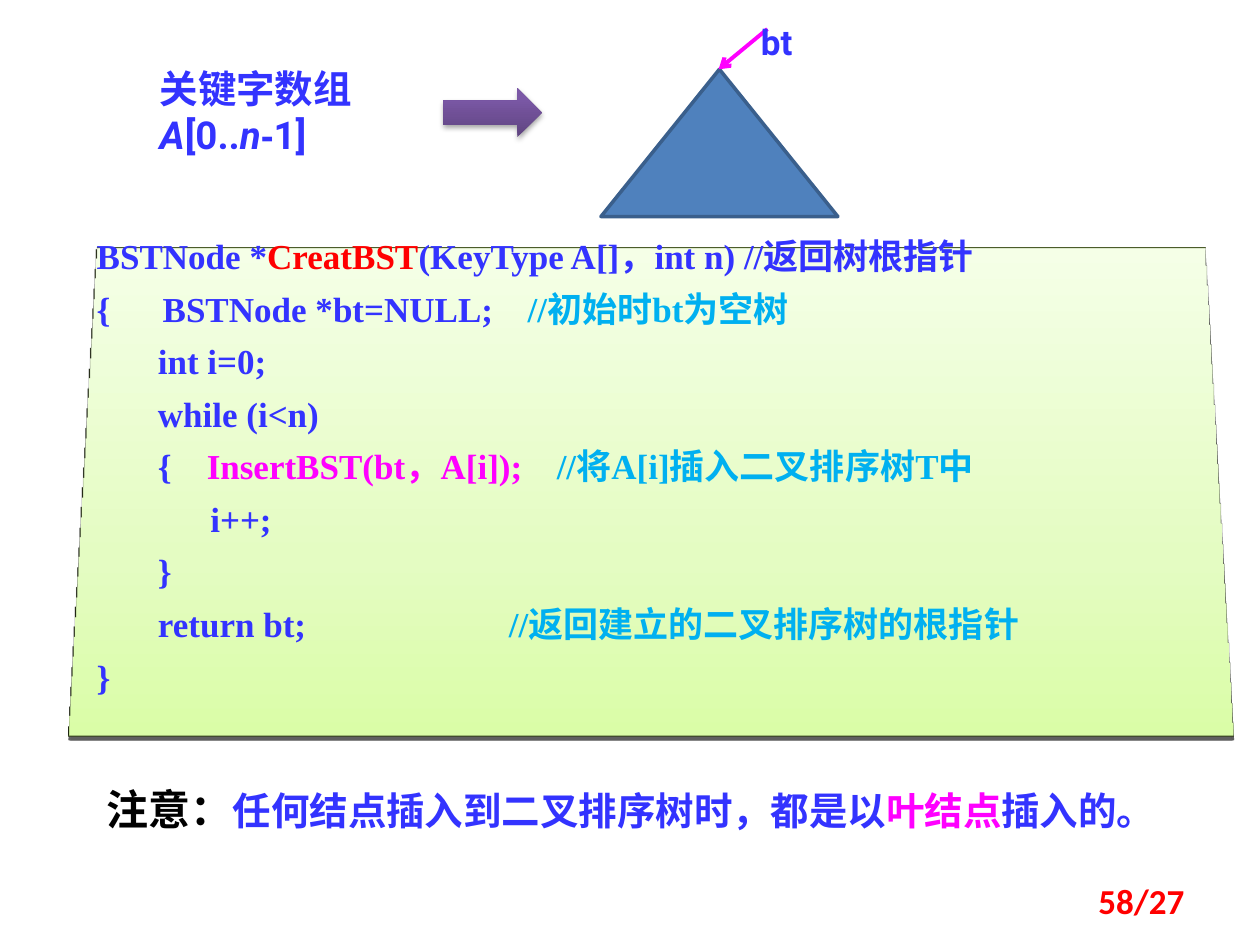
from lxml.etree import SubElement
from pptx import Presentation
from pptx.dml.color import RGBColor
from pptx.enum.shapes import MSO_CONNECTOR, MSO_SHAPE
from pptx.enum.text import MSO_ANCHOR, PP_ALIGN
from pptx.oxml import parse_xml
from pptx.oxml.ns import nsdecls, qn
from pptx.util import Pt

BLUE = RGBColor(0x33, 0x33, 0xFF)
CYAN = RGBColor(0x00, 0xB0, 0xF0)
MAGENTA = RGBColor(0xFF, 0x00, 0xFF)
RED = RGBColor(0xFF, 0x00, 0x00)
BLACK = RGBColor(0x00, 0x00, 0x00)
PANEL_EDGE = RGBColor(0x98, 0xB9, 0x55)
TREE_FILL = RGBColor(0x4F, 0x81, 0xBD)
TREE_EDGE = RGBColor(0x3A, 0x5F, 0x8C)
CJK = "Noto Sans CJK SC"
CODE = "Times New Roman"


def write(paragraph, text, size=20, font="Roboto", color=BLUE, italic=False):
    run = paragraph.add_run()
    run.text = text
    run.font.size = Pt(size)
    run.font.bold = True
    run.font.italic = italic
    run.font.name = font
    run.font.color.rgb = color
    SubElement(run.font._element, qn("a:ea"), typeface=CJK)


def shade(shape, stops, opacity, distance):
    """Give the shape an upward gradient and a soft shadow below it."""
    shape.fill.gradient()
    shape.fill.gradient_angle = 90
    stop_list = shape._element.spPr.find(".//" + qn("a:gsLst"))
    for old_stop in list(stop_list):
        stop_list.remove(old_stop)
    for position, color in stops:
        stop = SubElement(stop_list, qn("a:gs"), pos=str(position * 1000))
        SubElement(stop, qn("a:srgbClr"), val=color)
    shape.shadow.inherit = False
    effects = shape._element.spPr.find(qn("a:effectLst"))
    effects.append(parse_xml(
        f'<a:outerShdw {nsdecls("a")} blurRad="{Pt(3.1)}" dist="{Pt(distance)}" '
        f'dir="5400000" rotWithShape="0"><a:srgbClr val="000000">'
        f'<a:alpha val="{opacity * 1000}"/></a:srgbClr></a:outerShdw>'))


presentation = Presentation()
presentation.slide_width, presentation.slide_height = Pt(720), Pt(540)
slide = presentation.slides.add_slide(presentation.slide_layouts[6])

# Code panel, tilted backwards by 12 degrees so that it stays on the slide
panel = slide.shapes.add_shape(MSO_SHAPE.RECTANGLE, Pt(48.2), Pt(134.6), Pt(648), Pt(286))
panel.line.color.rgb = PANEL_EDGE
panel.line.width = Pt(0.75)
shade(panel, [(0, "DAFDA7"), (35, "E4FCC2"), (100, "F5FFE7")], opacity=38, distance=1.6)
scene = SubElement(panel._element.spPr, qn("a:scene3d"))
camera = SubElement(scene, qn("a:camera"), prst="perspectiveRelaxedModerately")
SubElement(camera, qn("a:rot"), lat=str(348 * 60000), lon="0", rev="0")
SubElement(scene, qn("a:lightRig"), rig="threePt", dir="t")
SubElement(panel._element.spPr, qn("a:sp3d"), extrusionH=str(Pt(4)))

# Each line: tab stops, then its coloured parts
code_lines = [
    ([], [("BSTNode *", BLUE), ("CreatBST", RED),
          ("(KeyType A[]，int n) //返回树根指针", BLUE)]),
    ([37.7, 246.3], [("{\tBSTNode *bt=NULL;\t", BLUE), ("//初始时bt为空树", CYAN)]),
    ([], [("       int i=0;", BLUE)]),
    ([], [("       while (i<n)", BLUE)]),
    ([62.9, 262.9], [("       {\t", BLUE), ("InsertBST(bt，A[i]);\t", MAGENTA),
                     ("//将A[i]插入二叉排序树T中", CYAN)]),
    ([], [("             i++;", BLUE)]),
    ([], [("       }", BLUE)]),
    ([235.5], [("       return bt;\t", BLUE), ("//返回建立的二叉排序树的根指针", CYAN)]),
    ([], [("}", BLUE)]),
]
code = panel.text_frame
code.word_wrap = True
code.vertical_anchor = MSO_ANCHOR.TOP
for number, (tabs, parts) in enumerate(code_lines):
    line = code.add_paragraph() if number else code.paragraphs[0]
    line.alignment = PP_ALIGN.LEFT
    line.line_spacing = Pt(20)
    if number:
        line.space_before = Pt(10)
    if tabs:
        tab_list = SubElement(line._p.get_or_add_pPr(), qn("a:tabLst"))
        for tab in tabs:
            SubElement(tab_list, qn("a:tab"), pos=str(Pt(tab)), algn="l")
    for text, color in parts:
        write(line, text, font=CODE, color=color)

# Note below the code
note = slide.shapes.add_textbox(Pt(54), Pt(444.2), Pt(629.3), Pt(36)).text_frame
note.word_wrap = True
for text, size, color in [("注意：", 24, BLACK), ("任何结点插入到二叉排序树时，都是以", 22, BLUE),
                          ("叶结点", 22, MAGENTA), ("插入的。", 22, BLUE)]:
    write(note.paragraphs[0], text, size=size, font=CJK, color=color)

# Key array, the step arrow and the resulting tree
key_array = slide.shapes.add_textbox(Pt(84.2), Pt(33.8), Pt(152), Pt(60.5)).text_frame
key_array.word_wrap = True
for text, font, italic in [("关键字数组", "Roboto", False), ("A", "Roboto", True),
                           ("[0..", "Roboto", False), ("n", "Roboto", True),
                           ("-", "Arial", False), ("1]", "Roboto", False)]:
    write(key_array.paragraphs[0], text, size=22, font=font, italic=italic)

step_arrow = slide.shapes.add_shape(MSO_SHAPE.RIGHT_ARROW, Pt(253.4), Pt(50.4), Pt(56.2), Pt(28))
step_arrow.line.fill.background()
shade(step_arrow, [(0, "5F4480"), (80, "7B58A6"), (100, "7C57A8")], opacity=35, distance=1.8)

tree_group = slide.shapes.add_group_shape().shapes
tree = tree_group.add_shape(MSO_SHAPE.ISOSCELES_TRIANGLE, Pt(343.4), Pt(39.6), Pt(135.4), Pt(84.2))
tree.shadow.inherit = False
tree.fill.solid()
tree.fill.fore_color.rgb = TREE_FILL
tree.line.color.rgb = TREE_EDGE
tree.line.width = Pt(2)

root_pointer = tree_group.add_connector(MSO_CONNECTOR.STRAIGHT,
                                        Pt(438.5), Pt(16.6), Pt(410.6), Pt(39.6))
root_pointer.line.color.rgb = MAGENTA
root_pointer.line.width = Pt(2.25)
SubElement(root_pointer.line._get_or_add_ln(), qn("a:tailEnd"), type="arrow")
SubElement(root_pointer._element.spPr, qn("a:effectLst"))

root_label = tree_group.add_textbox(Pt(427.7), Pt(7.9), Pt(61.9), Pt(31.7)).text_frame
root_label.word_wrap = True
write(root_label.paragraphs[0], "bt")

# Page number
page_number = slide.shapes.add_textbox(Pt(516.2), Pt(500.4), Pt(167.8), Pt(28.8)).text_frame
page_number.word_wrap = True
page_number.vertical_anchor = MSO_ANCHOR.MIDDLE
page_number.paragraphs[0].alignment = PP_ALIGN.RIGHT
write(page_number.paragraphs[0], "58/27", font="Calibri", color=RED)

presentation.save("out.pptx")
